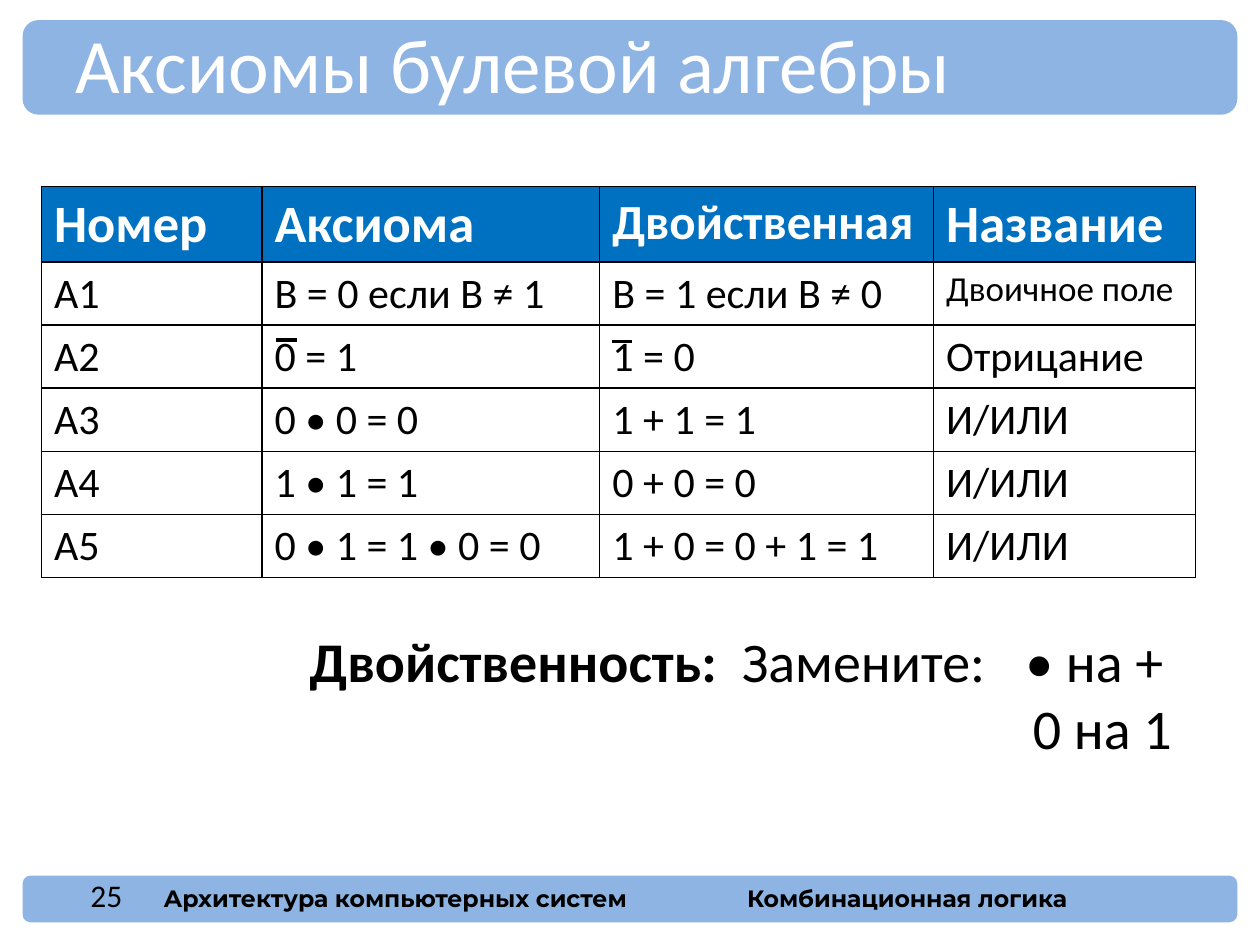
from lxml.etree import SubElement
from pptx import Presentation
from pptx.dml.color import RGBColor
from pptx.enum.shapes import MSO_CONNECTOR, MSO_SHAPE
from pptx.enum.text import MSO_ANCHOR, PP_ALIGN
from pptx.oxml.ns import qn
from pptx.util import Inches, Pt

HUES = {"bar": "8EB4E3", "head": "0070C0", "ink": "000000", "paper": "FFFFFF"}
COLS, ROWS = 100, 75
HEAD = ["Номер", "Аксиома", "Двойственная", "Название"]
BODY = [
    ["A1", "B = 0 если B ≠ 1", "B = 1 если B ≠ 0", "Двоичное поле"],
    ["A2", "0 = 1", "1 = 0", "Отрицание"],
    ["A3", "0 • 0 = 0", "1 + 1 = 1", "И/ИЛИ"],
    ["A4", "1 • 1 = 1", "0 + 0 = 0", "И/ИЛИ"],
    ["A5", "0 • 1 = 1 • 0 = 0", "1 + 0 = 0 + 1 = 1", "И/ИЛИ"],
]
SIZES = {"Двойственная": 28, "Двоичное поле": 20}


def hue(name):
    return RGBColor.from_string(HUES[name])


def write(para, text, size=24, bold=False, color="ink", face="Calibri", align=None):
    run = para.add_run()
    run.text = text
    font = run.font
    font.size, font.bold, font.name = Pt(size), bold, face
    font.color.rgb = hue(color)
    if align is not None:
        para.alignment = align


class Deck:
    def __init__(self):
        self.show = Presentation()
        self.show.slide_width, self.show.slide_height = Inches(10), Inches(7.5)
        self.slide = self.show.slides.add_slide(self.show.slide_layouts[6])
        self.shapes = self.slide.shapes

    def x(self, cols):
        return int(self.show.slide_width * cols / COLS)

    def y(self, rows):
        return int(self.show.slide_height * rows / ROWS)

    def area(self, left, top, wide, high):
        return self.x(left), self.y(top), self.x(wide), self.y(high)

    def bar(self, *area):
        bar = self.shapes.add_shape(MSO_SHAPE.ROUNDED_RECTANGLE, *self.area(*area))
        bar.shadow.inherit = False
        bar.fill.solid()
        bar.fill.fore_color.rgb = hue("bar")
        bar.line.fill.background()

    def text(self, area, text, anchor=MSO_ANCHOR.TOP, **style):
        frame = self.shapes.add_textbox(*self.area(*area)).text_frame
        frame.word_wrap = True
        frame.vertical_anchor = anchor
        if text:
            write(frame.paragraphs[0], text, **style)
        return frame

    def tabs(self, para, *stops):
        tabs = SubElement(para._p.get_or_add_pPr(), qn("a:tabLst"))
        for stop in stops:
            SubElement(tabs, qn("a:tab"), pos=str(self.x(stop)), algn="l")

    def line(self, left, right, top):
        line = self.shapes.add_connector(
            MSO_CONNECTOR.STRAIGHT, self.x(left), self.y(top), self.x(right), self.y(top))
        line.line.color.rgb = hue("ink")
        line.line.width = Pt(2)
        SubElement(line._element.spPr, qn("a:effectLst"))

    def edge(self, cell):
        props = cell._tc.get_or_add_tcPr()
        for place, side in enumerate(("lnL", "lnR", "lnT", "lnB")):
            line = props.makeelement(qn("a:" + side), {"w": str(Pt(1))})
            fill = SubElement(line, qn("a:solidFill"))
            SubElement(fill, qn("a:srgbClr"), val=HUES["ink"])
            props.insert(place, line)

    def table(self, area, wides, highs, data):
        table = self.shapes.add_table(len(highs), len(wides), *self.area(*area)).table
        for col, wide in zip(table.columns, wides):
            col.width = self.x(wide)
        for row, high, texts in zip(table.rows, highs, data):
            row.height = self.y(high)
            top = texts is data[0]
            for cell, text in zip(row.cells, texts):
                cell.fill.solid()
                cell.fill.fore_color.rgb = hue("head" if top else "paper")
                self.edge(cell)
                write(cell.text_frame.paragraphs[0], text, bold=top,
                      size=SIZES.get(text, 30 if top else 24),
                      color="paper" if top else "ink")


def main():
    deck = Deck()
    deck.bar(1.8, 69.5, 96.4, 3.7)
    deck.bar(1.8, 1.6, 96.4, 7.5)
    foot = dict(size=13.5, bold=True, face="Montserrat")
    deck.text((12, 69.7, 44.4, 3.3), "Архитектура компьютерных систем", **foot)
    deck.text((46.7, 69.7, 50.6, 3.3), "Комбинационная логика",
              align=PP_ALIGN.CENTER, **foot)
    deck.text((5, 0.8, 86.7, 8.4), "Аксиомы булевой алгебры",
              anchor=MSO_ANCHOR.MIDDLE, size=44, color="paper")
    deck.table((3.3, 14.8, 91.6, 31), [17.5, 26.8, 26.5, 20.8],
               [6] + [5] * len(BODY), [HEAD] + BODY)

    note = deck.text((23.6, 49.2, 70.4, 11.8), "")
    first = note.paragraphs[0]
    deck.tabs(first, 34.3, 56.8)
    write(first, "Двойственность:", size=32, bold=True)
    write(first, "\tЗамените:\t• на +", size=32)
    write(note.add_paragraph(), "0 на 1", size=32, align=PP_ALIGN.RIGHT)

    deck.line(21.9, 23.6, 27)
    deck.line(48.6, 50.2, 27.1)
    deck.text((3.7, 69.1, 7, 3.9), "25", anchor=MSO_ANCHOR.MIDDLE,
              size=18, align=PP_ALIGN.RIGHT)
    deck.show.save("out.pptx")


if __name__ == "__main__":
    main()
